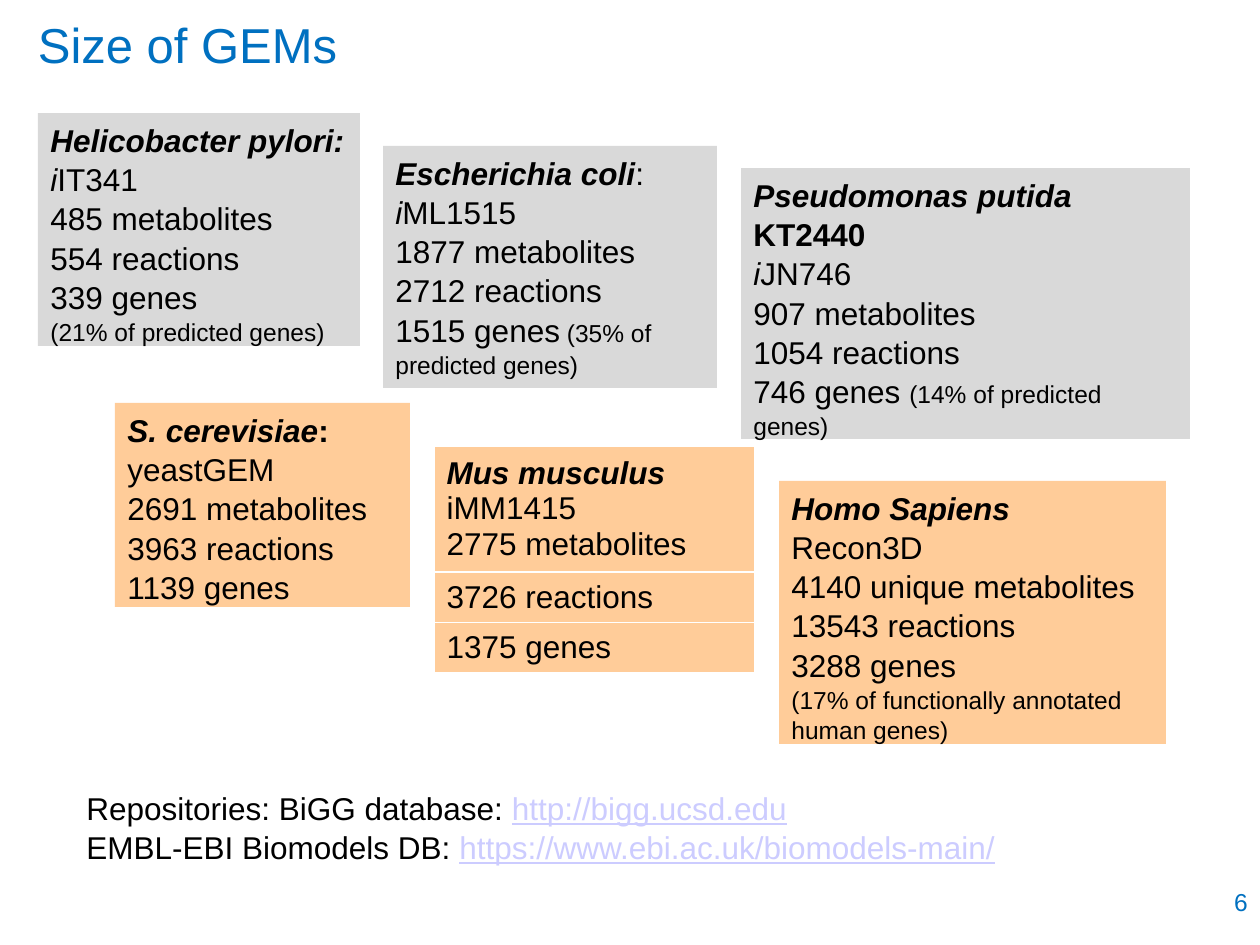
import pptx
import pptx.dml.color
import pptx.enum.shapes
import pptx.enum.text
import pptx.util
from dataclasses import dataclass

# Each paragraph is a list of (text, marks); marks: b bold, i italic, s small, l link look.
TITLE = [[("Size of GEMs", "")]]
PAGE_NUMBER = [[("6", "")]]
REPOSITORIES = [
    [("Repositories: BiGG database: ", ""), ("http://bigg.ucsd.edu", "l")],
    [("EMBL-EBI Biomodels DB: ", ""),
     ("https://www.ebi.ac.uk/biomodels-main/", "l")],
]
# (kind of organism, (left, top, width, height) in px, paragraphs)
MODELS = [
    ("bacterium", (38, 113, 322, 233), [
        [("Helicobacter pylori:", "bi")],
        [("i", "i"), ("IT341", "")],
        [("485 metabolites", "")],
        [("554 reactions", "")],
        [("339 genes", "")],
        [("(21% of predicted genes)", "s")]]),
    ("bacterium", (383, 146, 334, 242), [
        [("Escherichia coli", "bi"), (": ", ""), ("i", "i"), ("ML1515", "")],
        [("1877 metabolites", "")],
        [("2712 reactions", "")],
        [("1515 genes", ""), (" (35% of predicted genes)", "s")]]),
    ("eukaryote", (115, 403, 295, 204), [
        [("S. cerevisiae", "bi"), (": ", "b"), ("yeastGEM", "")],
        [("2691 metabolites", "")],
        [("3963 reactions", "")],
        [("1139 genes", "")]]),
    ("eukaryote", (779, 481, 387, 263), [
        [("Homo Sapiens", "bi")],
        [("Recon3D", "")],
        [("4140 unique metabolites", "")],
        [("13543 reactions", "")],
        [("3288 genes", "")],
        [("(17% of functionally annotated human genes)", "s")]]),
    ("bacterium", (741, 168, 449, 271), [
        [("Pseudomonas putida", "bi"), (" KT2440", "b")],
        [("i", "i"), ("JN746", "")],
        [("907 metabolites", "")],
        [("1054 reactions", "")],
        [("746 genes ", ""), ("(14% of predicted genes)", "s")]]),
]
# (row height in px, paragraphs)
MOUSE_ROWS = [
    (126, [[("Mus musculus", "bi")], [("iMM1415", "")], [("2775 metabolites", "")]]),
    (50, [[("3726 reactions", "")]]),
    (50, [[("1375 genes", "")]]),
]


@dataclass
class Theme:
    font: str = "Arial"
    accent: str = "0070C0"
    text: str = "000000"
    link: str = "CCCCFF"
    bacterium: str = "D9D9D9"
    eukaryote: str = "FFCC99"
    title_size: int = 28
    body_size: int = 18
    small_size: int = 14
    line_spacing: float = 1.04


THEME = Theme()
PX = 914400 // 126
ANCHOR = pptx.enum.text.MSO_ANCHOR
ALIGN = pptx.enum.text.PP_ALIGN


def px(*lengths):
    return [pptx.util.Emu(length * 914400 // 126) for length in lengths]


def rgb(value):
    return pptx.dml.color.RGBColor.from_string(value)


def write(frame, paragraphs, size=THEME.body_size, color=THEME.text,
          align=ALIGN.LEFT, spacing=None):
    frame.word_wrap = True
    for index, runs in enumerate(paragraphs):
        paragraph = frame.add_paragraph() if index else frame.paragraphs[0]
        paragraph.alignment = align
        if spacing:
            paragraph.line_spacing = spacing
        for text, marks in runs:
            run = paragraph.add_run()
            run.text = text
            font = run.font
            font.name = THEME.font
            font.size = pptx.util.Pt(THEME.small_size if "s" in marks else size)
            font.bold = "b" in marks
            font.italic = "i" in marks
            font.underline = "l" in marks
            font.color.rgb = rgb(THEME.link if "l" in marks else color)


def add_model(slide, kind, place, paragraphs):
    box = slide.shapes.add_shape(
        pptx.enum.shapes.MSO_SHAPE.RECTANGLE, *px(*place))
    box.shadow.inherit = False
    box.fill.solid()
    box.fill.fore_color.rgb = rgb(getattr(THEME, kind))
    box.line.fill.background()
    box.text_frame.vertical_anchor = ANCHOR.TOP
    write(box.text_frame, paragraphs, spacing=THEME.line_spacing)


def add_mouse_table(slide):
    height = sum(row_height for row_height, _ in MOUSE_ROWS)
    table = slide.shapes.add_table(
        len(MOUSE_ROWS), 1, *px(434, 446, 321, height)).table
    table.first_row = table.horz_banding = False
    for index, (row_height, paragraphs) in enumerate(MOUSE_ROWS):
        table.rows[index].height = px(row_height)[0]
        cell = table.cell(index, 0)
        cell.fill.solid()
        cell.fill.fore_color.rgb = rgb(THEME.eukaryote)
        cell.vertical_anchor = ANCHOR.MIDDLE
        write(cell.text_frame, paragraphs)


def main():
    deck = pptx.Presentation()
    deck.slide_width, deck.slide_height = px(1260, 945)
    slide = deck.slides.add_slide(deck.slide_layouts[5])

    title = slide.shapes.title
    title.left, title.top, title.width, title.height = px(38, 15, 883, 79)
    frame = title.text_frame
    frame.margin_left = frame.margin_top = frame.margin_right = frame.margin_bottom = 0
    frame.vertical_anchor = ANCHOR.TOP
    frame.auto_size = pptx.enum.text.MSO_AUTO_SIZE.NONE
    write(frame, TITLE, size=THEME.title_size, color=THEME.accent)

    page_number = slide.shapes.add_textbox(*px(966, 881, 294, 65))
    write(page_number.text_frame, PAGE_NUMBER, size=THEME.small_size,
          color=THEME.accent, align=ALIGN.RIGHT)

    for kind, place, paragraphs in MODELS:
        add_model(slide, kind, place, paragraphs)

    repositories = slide.shapes.add_textbox(*px(74, 781, 951, 89))
    write(repositories.text_frame, REPOSITORIES, spacing=THEME.line_spacing)

    add_mouse_table(slide)
    deck.save("out.pptx")


if __name__ == "__main__":
    main()
